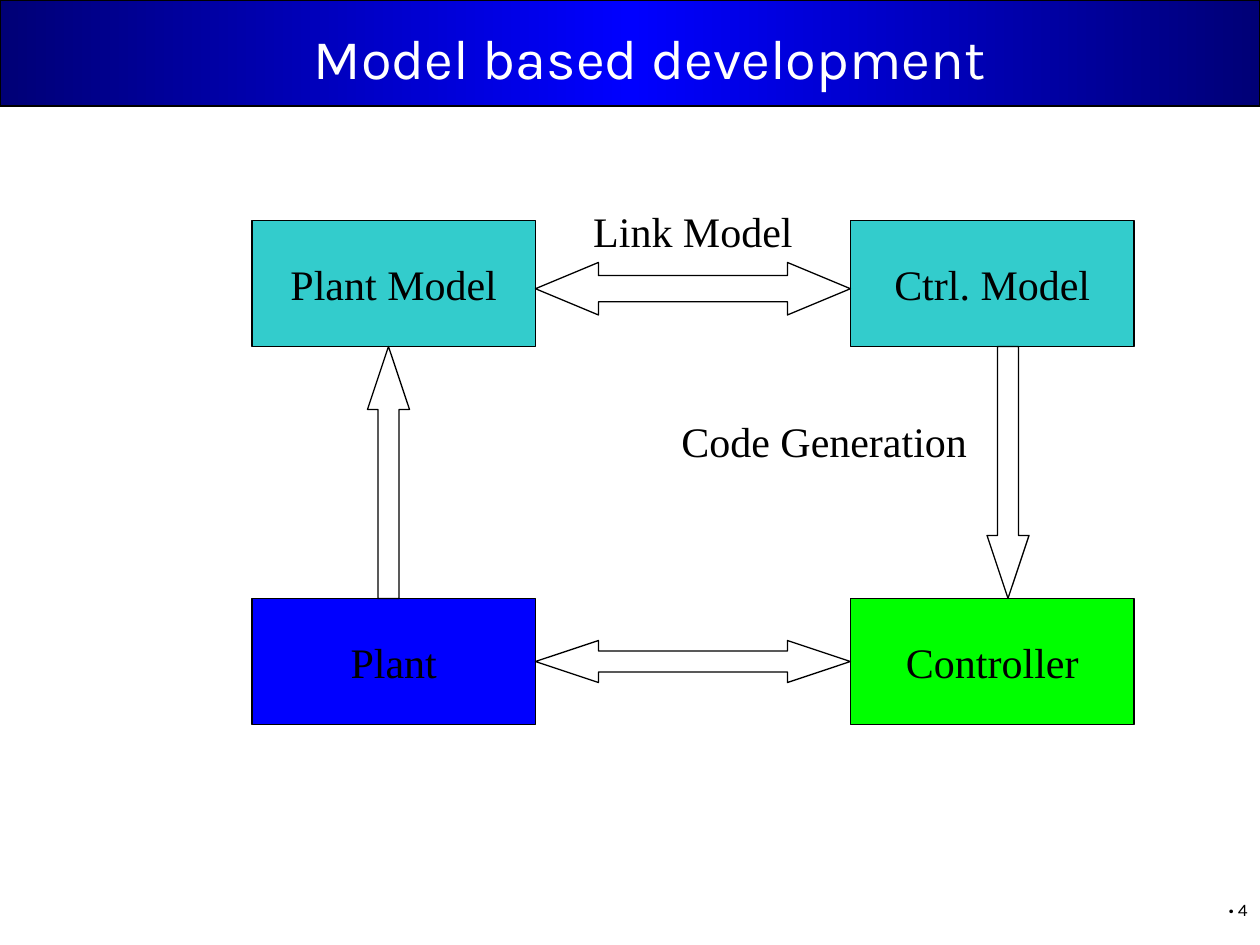
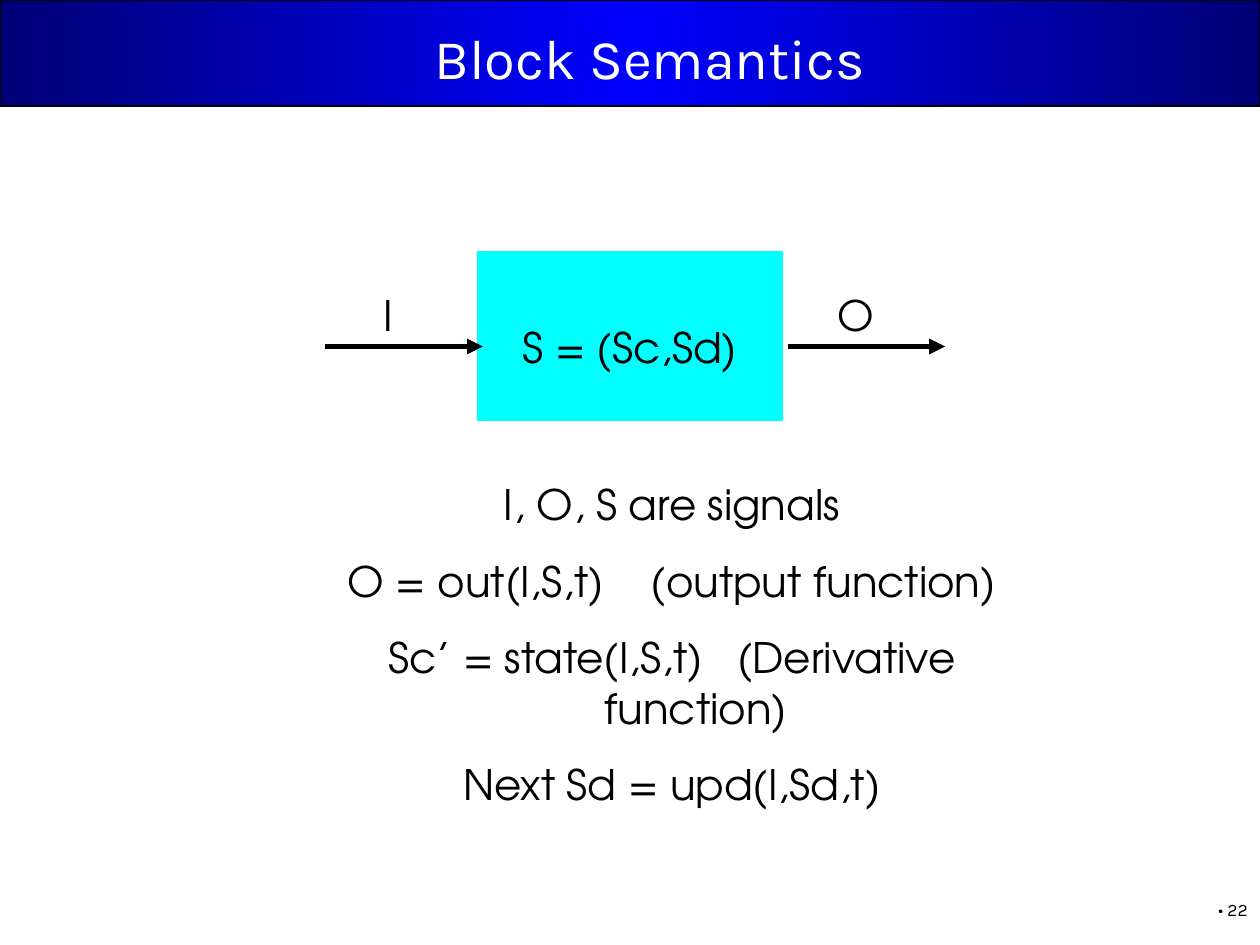
from dataclasses import dataclass

from lxml.etree import SubElement
from pptx import Presentation
from pptx.dml.color import RGBColor
from pptx.enum.shapes import MSO_CONNECTOR, MSO_SHAPE
from pptx.enum.text import MSO_ANCHOR, PP_ALIGN
from pptx.oxml.ns import qn
from pptx.util import Inches, Pt

BLANK_LAYOUT = 6


@dataclass(frozen=True)
class Theme:
    # Colours
    ink: str = "000000"
    paper: str = "FFFFFF"
    band_edge: str = "000076"
    band_middle: str = "0000FF"
    model: str = "33CCCC"
    plant: str = "0000FF"
    controller: str = "00FF00"
    block: str = "00FFFF"
    # Fonts
    title_font: str = "Karla"
    diagram_font: str = "Times New Roman"
    formula_font: str = "TeX Gyre Adventor"
    # Sizes in points
    title_size: int = 32
    body_size: int = 24
    footer_size: int = 10
    outline: float = 0.75
    signal_line: int = 3


THEME = Theme()


def grid(*cells):
    """Convert grid cells, twelve to the inch, into lengths."""
    return [Inches(cell / 12) for cell in cells]


def rgb(code):
    return RGBColor.from_string(code)


def write(shape, lines, *, font, size=THEME.body_size, color=THEME.ink,
          align=PP_ALIGN.CENTER, anchor=MSO_ANCHOR.TOP, wrap=True,
          line_spacing=None, gap=0, hanging=0):
    """Write lines into a shape; a line is a string or a list of (text, tracking)."""
    frame = shape.text_frame
    frame.word_wrap = wrap
    frame.vertical_anchor = anchor
    for index, line in enumerate(lines):
        paragraph = frame.paragraphs[0] if index == 0 else frame.add_paragraph()
        paragraph.alignment = align
        if line_spacing:
            paragraph.line_spacing = line_spacing
        if index and gap:
            paragraph.space_before = Pt(gap)
        if hanging:
            properties = paragraph._p.get_or_add_pPr()
            properties.set("marL", str(Inches(hanging)))
            properties.set("indent", str(-Inches(hanging)))
        for text, tracking in [(line, 0)] if isinstance(line, str) else line:
            run = paragraph.add_run()
            run.text = text
            run.font.name = font
            run.font.size = Pt(size)
            run.font.color.rgb = rgb(color)
            if tracking:
                run._r.get_or_add_rPr().set("spc", str(tracking * 100))


def add_label(slide, cells, lines, **text_format):
    write(slide.shapes.add_textbox(*grid(*cells)), lines, **text_format)


def add_outlined(slide, kind, cells, fill=None, line=THEME.ink, width=THEME.outline):
    shape = slide.shapes.add_shape(kind, *grid(*cells))
    shape.shadow.inherit = False
    if fill:
        shape.fill.solid()
        shape.fill.fore_color.rgb = rgb(fill)
    else:
        shape.fill.background()
    shape.line.color.rgb = rgb(line)
    shape.line.width = Pt(width)
    return shape


def add_component(slide, cells, name, fill):
    component = add_outlined(slide, MSO_SHAPE.RECTANGLE, cells, fill)
    write(component, [name], font=THEME.diagram_font,
          anchor=MSO_ANCHOR.MIDDLE, wrap=False)


def add_block_arrow(slide, kind, cells):
    """Add a hollow arrow whose heads are six cells long."""
    arrow = add_outlined(slide, kind, cells)
    arrow.adjustments[0] = 0.5
    arrow.adjustments[1] = 6 / min(cells[2:])


def add_signal(slide, start, row, length):
    """Add a horizontal line with an arrowhead at its right end."""
    signal = slide.shapes.add_connector(
        MSO_CONNECTOR.STRAIGHT, *grid(start, row, start + length, row))
    signal.line.color.rgb = rgb(THEME.ink)
    signal.line.width = Pt(THEME.signal_line)
    SubElement(signal.line._get_or_add_ln(), qn("a:tailEnd"), type="triangle")
    SubElement(signal._element.spPr, qn("a:effectLst"))


def add_band(slide):
    band = add_outlined(slide, MSO_SHAPE.RECTANGLE, (0, 0, 120, 10.1), width=1)
    band.fill.gradient()
    band.fill.gradient_angle = 0
    stops = band._element.spPr.find(qn("a:gradFill")).find(qn("a:gsLst"))
    for stop in list(stops):
        stops.remove(stop)
    for share, color in ((0, THEME.band_edge), (50, THEME.band_middle),
                         (100, THEME.band_edge)):
        stop = SubElement(stops, qn("a:gs"), pos=str(share * 1000))
        SubElement(stop, qn("a:srgbClr"), val=color)


def start_slide(deck, title, number):
    """Add a slide with the shared band, title and page number."""
    slide = deck.slides.add_slide(deck.slide_layouts[BLANK_LAYOUT])
    add_band(slide)
    add_label(slide, (99, 85, 21, 3.5), [f"• {number}"], font=THEME.title_font,
              size=THEME.footer_size, align=PP_ALIGN.RIGHT)
    add_label(slide, (12.4, 2.2, 99, 7.3), [title], font=THEME.title_font,
              size=THEME.title_size, color=THEME.paper,
              anchor=MSO_ANCHOR.MIDDLE, line_spacing=0.9)
    return slide


def build_development(deck):
    slide = start_slide(deck, "Model based development", 4)
    left, right, top, bottom = 24, 81, 21, 57
    width, height = 27, 12

    # Components at the four corners
    for column, row, name, fill in (
            (left, bottom, "Plant", THEME.plant),
            (right, bottom, "Controller", THEME.controller),
            (left, top, "Plant Model", THEME.model),
            (right, top, "Ctrl. Model", THEME.model)):
        add_component(slide, (column, row, width, height), name, fill)

    # Arrows across the gaps between components
    across, down = left + width, top + height
    span, drop = right - across, bottom - down
    for kind, cells in (
            (MSO_SHAPE.LEFT_RIGHT_ARROW, (across, bottom + 4, span, 4)),
            (MSO_SHAPE.LEFT_RIGHT_ARROW, (across, top + 4, span, 5)),
            (MSO_SHAPE.UP_ARROW, (left + 11, down, 4, drop)),
            (MSO_SHAPE.DOWN_ARROW, (right + 13, down, 4, drop))):
        add_block_arrow(slide, kind, cells)

    # Arrow labels, each wide enough for one line
    for cells, caption in (((across, 20, span, 4), "Link Model"),
                           ((63, 39, 31, 6), "Code Generation")):
        add_label(slide, cells, [caption], font=THEME.diagram_font,
                  anchor=MSO_ANCHOR.MIDDLE)


def build_semantics(deck):
    slide = start_slide(deck, "Block Semantics", 22)

    # Block with its input and output signals
    add_outlined(slide, MSO_SHAPE.RECTANGLE, (45.5, 24, 29, 16),
                 THEME.block, line=THEME.block)
    for start in (31, 75):
        add_signal(slide, start, row=33, length=15)
    for cells, symbol in (((32, 27, 10, 6), "I"), ((77, 27, 9, 6), "O"),
                          ((48, 30, 24, 6), "S = (Sc,Sd)")):
        add_label(slide, cells, [symbol], font=THEME.formula_font)

    # Definitions, with a widened space between formula and meaning
    definitions = [
        "I, O, S are signals",
        [("O = out(I,S,t)", 0), (" ", 20), ("(output function)", 0)],
        [("Sc’ = state(I,S,t)", 0), (" ", 13), ("(Derivative function)", 0)],
        "Next Sd = upd(I,Sd,t)",
    ]
    add_label(slide, (28, 45, 72, 35), definitions, font=THEME.formula_font,
              gap=15, hanging=0.38)


def main():
    deck = Presentation()
    deck.slide_width, deck.slide_height = grid(120, 90)
    build_development(deck)
    build_semantics(deck)
    deck.save("out.pptx")


if __name__ == "__main__":
    main()
